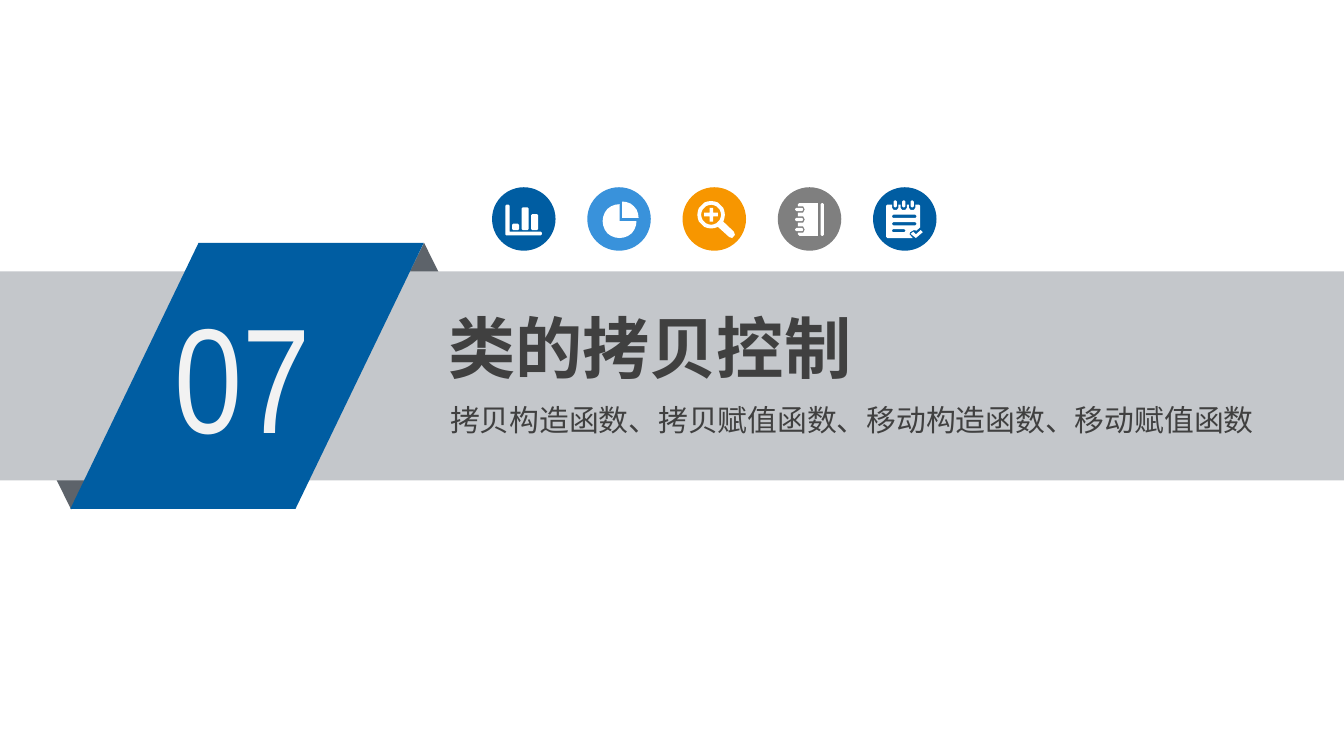
from math import cos, radians, sin

from lxml.etree import SubElement
from pptx import Presentation
from pptx.dml.color import RGBColor
from pptx.enum.shapes import MSO_SHAPE as Preset
from pptx.enum.text import MSO_AUTO_SIZE as AutoSize, PP_ALIGN as Align
from pptx.oxml.ns import qn
from pptx.util import Cm, Pt

BLUE = RGBColor(0x00, 0x5D, 0xA2)
LIGHT_BLUE = RGBColor(0x39, 0x92, 0xDB)
ORANGE = RGBColor(0xF7, 0x96, 0x00)
GRAY = RGBColor(0x7F, 0x7F, 0x7F)
FOLD = RGBColor(0x5D, 0x63, 0x6A)
BAND = RGBColor(0xC4, 0xC7, 0xCB)
TEXT = RGBColor(0x40, 0x40, 0x40)
PALE = RGBColor(0xF2, 0xF2, 0xF2)
WHITE = RGBColor(0xFF, 0xFF, 0xFF)

NUMBER_FONT = "Arial Narrow"
TEXT_FONT = "Noto Sans CJK SC"
BADGE_LEFT, BADGE_TOP, BADGE_SIZE, BADGE_PITCH = 9.3, 3.54, 1.2, 1.8


class Painter:
    """Draws on one slide, with lengths in centimetres."""

    def __init__(self, slide):
        self.slide = slide
        self.shapes = slide.shapes

    def start_group(self):
        self.shapes = self.slide.shapes.add_group_shape().shapes

    def end_group(self):
        self.shapes = self.slide.shapes

    def paint(self, shape, color):
        shape.shadow.inherit = False
        shape.fill.solid()
        shape.fill.fore_color.rgb = color
        shape.line.fill.background()

    def shape(self, preset, left, top, width, height, color, adjust=(), turn=0):
        shape = self.shapes.add_shape(
            preset, Cm(left), Cm(top), Cm(width), Cm(height))
        for index, value in enumerate(adjust):
            shape.adjustments[index] = value
        shape.rotation = turn
        self.paint(shape, color)

    def icon(self, contours, left, top, color):
        """Draws closed contours, given in hundredths of a centimetre, as one shape."""
        builder = self.shapes.build_freeform(*contours[0][0], scale=Cm(0.01))
        builder.add_line_segments(contours[0][1:], close=True)
        for contour in contours[1:]:
            builder.move_to(*contour[0])
            builder.add_line_segments(contour[1:], close=True)
        self.paint(builder.convert_to_shape(Cm(left), Cm(top)), color)

    def text(self, words, left, top, width, height, size, color,
             font=TEXT_FONT, bold=False, align=Align.LEFT, side=0.2):
        box = self.shapes.add_textbox(Cm(left), Cm(top), Cm(width), Cm(height))
        frame = box.text_frame
        frame.word_wrap = True
        frame.auto_size = AutoSize.SHAPE_TO_FIT_TEXT
        frame.margin_left = frame.margin_right = Cm(side)
        frame.margin_top = frame.margin_bottom = Cm(0.1)
        frame.text = words
        paragraph = frame.paragraphs[0]
        paragraph.alignment = align
        run = paragraph.runs[0]
        run.font.name = font
        run.font.size = Pt(size)
        run.font.bold = bold
        run.font.color.rgb = color
        SubElement(run.font._element, qn("a:ea"), typeface=font)


def arc(x, y, radius, start, end, step=15):
    """Points along an arc, clockwise from the right, angles in degrees."""
    return [(round(x + radius * cos(radians(angle))),
             round(y + radius * sin(radians(angle))))
            for angle in range(start, end + 1, step)]


def bar(left, top, width, height, cut=2):
    """A rectangle with its corners cut."""
    right, bottom = left + width, top + height
    return [(left + cut, top), (right - cut, top), (right, top + cut),
            (right, bottom - cut), (right - cut, bottom), (left + cut, bottom),
            (left, bottom - cut), (left, top + cut)]


def bar_chart():
    axes = [(27, 33), (31, 33), (33, 35), (33, 84), (92, 84), (94, 86),
            (94, 89), (92, 91), (27, 91), (25, 89), (25, 35)]
    return [axes] + [bar(left, 81 - height, 13, height)
                     for left, height in ((38, 12), (56, 43), (74, 30))]


def pie_chart():
    return [arc(66, 58, 31, 270, 360) + [(66, 58)],
            arc(61, 64, 32, 0, 270) + [(61, 64)]]


def magnifier():
    glass = arc(54, 52, 26, 60, 390) + [(97, 84), (99, 90), (94, 96), (88, 94)]
    plus = [(51, 39), (58, 39), (58, 48), (67, 48), (67, 55), (58, 55),
            (58, 65), (51, 65), (51, 55), (41, 55), (41, 48), (51, 48)]
    return [glass, arc(54, 52, 19, 0, 345), plus]


def notebook():
    middles = (42, 61, 80)
    cover = [(41, 30), (76, 30), (76, 92), (41, 92), (38, 89)]
    for y in reversed(middles):
        cover += [(38, y + 6), (48, y + 6), (51, y), (48, y - 6), (38, y - 6)]
    cover.append((38, 32))
    return [cover, bar(81, 30, 6, 62)] + [bar(33, y - 3, 15, 6) for y in middles]


def checklist():
    middles = (42, 58, 74)
    page = [(25, 35), (27, 33)]
    for x in middles:
        page += [(x - 6, 33), (x - 6, 39), (x - 3, 43), (x + 3, 43),
                 (x + 6, 39), (x + 6, 33)]
    page += [(87, 33), (89, 35), (89, 76), (82, 82), (77, 81), (70, 85),
             (69, 89), (75, 96), (27, 96), (25, 94)]
    check = [(71, 88), (76, 84), (81, 89), (90, 81), (94, 85), (81, 96)]
    return ([page, check] + [bar(x - 3, 25, 6, 13) for x in middles]
            + [bar(36, y, width, 6) for y, width in ((52, 46), (66, 46), (79, 25))])


BADGES = (
    (BLUE, bar_chart),
    (LIGHT_BLUE, pie_chart),
    (ORANGE, magnifier),
    (GRAY, notebook),
    (BLUE, checklist),
)


def main():
    deck = Presentation()
    deck.slide_width, deck.slide_height = Cm(25.4), Cm(14.29)
    painter = Painter(deck.slides.add_slide(deck.slide_layouts[6]))

    painter.start_group()
    painter.shape(Preset.ISOSCELES_TRIANGLE, 6.87, 4.59, 2.29, 2.31, FOLD)
    painter.shape(Preset.ISOSCELES_TRIANGLE, 0.2, 7.32, 2.29, 2.31, FOLD, turn=180)
    painter.shape(Preset.RECTANGLE, 0, 5.13, 25.4, 3.95, BAND)
    painter.shape(Preset.PARALLELOGRAM, 1.33, 4.59, 6.68, 5.03, BLUE, (0.482,))
    painter.text("07", 3.12, 5.28, 3.68, 3.61, 80, PALE, NUMBER_FONT, side=0.18)
    painter.end_group()

    painter.text("类的拷贝控制", 8.27, 5.69, 14.02, 1.73, 36, TEXT, bold=True)
    painter.text("拷贝构造函数、拷贝赋值函数、移动构造函数、移动赋值函数",
                 8.28, 7.49, 15.63, 0.89, 16, TEXT, align=Align.RIGHT)

    for index, (color, contours) in enumerate(BADGES):
        left = BADGE_LEFT + index * BADGE_PITCH
        painter.start_group()
        painter.shape(Preset.OVAL, left, BADGE_TOP, BADGE_SIZE, BADGE_SIZE, color)
        painter.icon(contours(), left, BADGE_TOP, WHITE)
    painter.end_group()

    deck.save("out.pptx")


if __name__ == "__main__":
    main()
